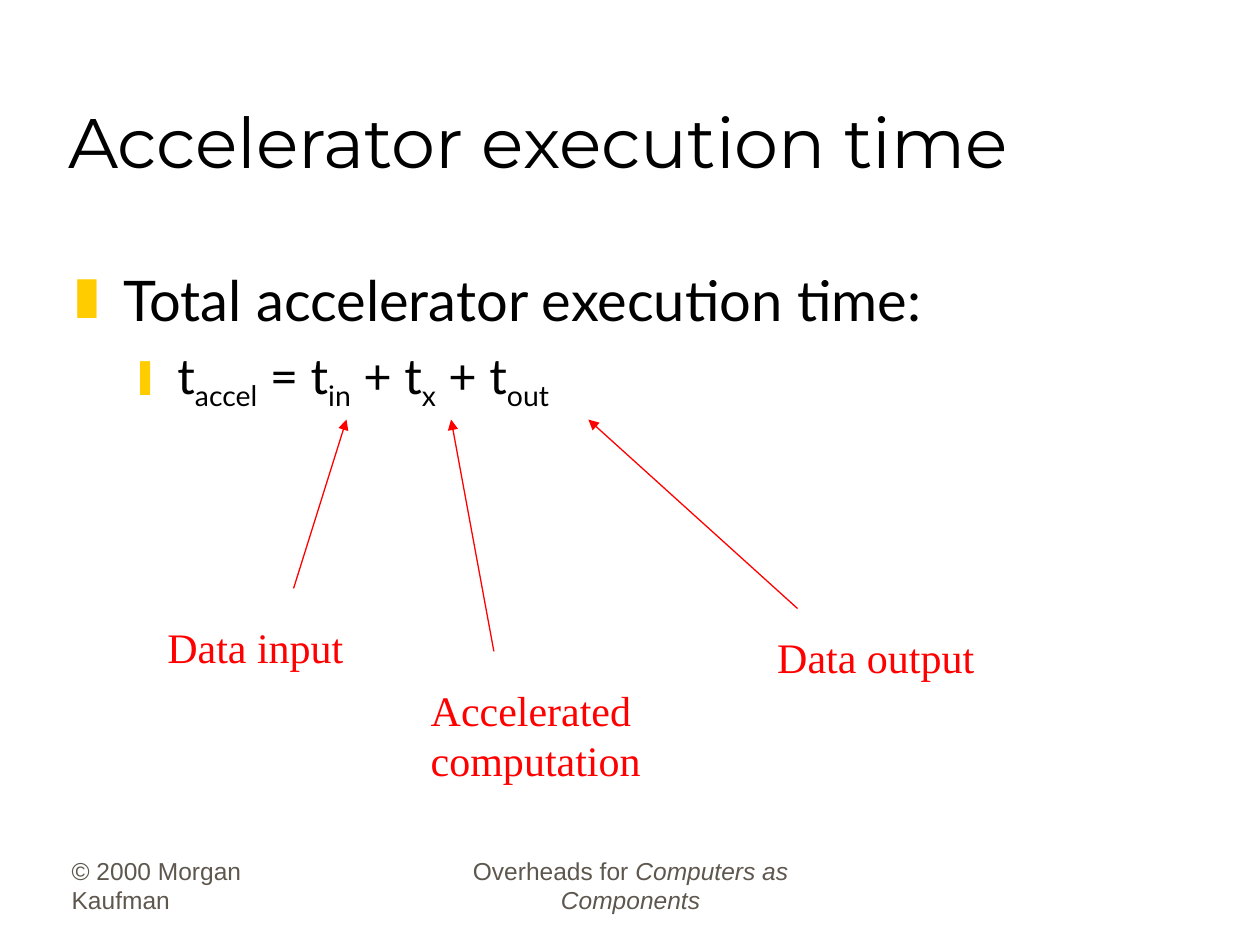
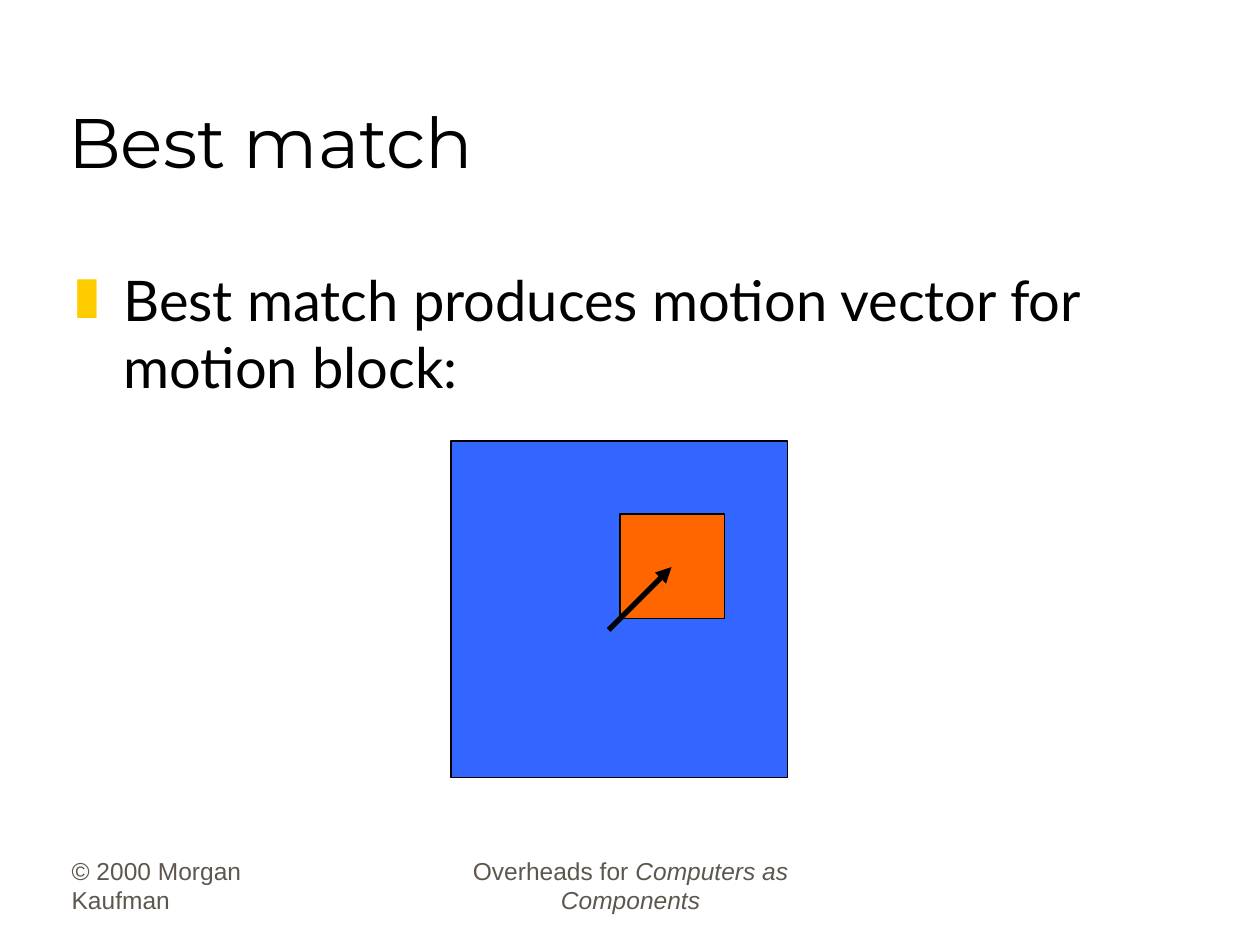
from lxml.etree import SubElement
from pptx import Presentation
from pptx.dml.color import RGBColor
from pptx.enum.shapes import MSO_CONNECTOR as Connector, MSO_SHAPE as Shape
from pptx.enum.text import MSO_ANCHOR as Anchor, MSO_AUTO_SIZE as AutoSize, PP_ALIGN as Align
from pptx.oxml.ns import qn
from pptx.util import Inches, Pt

# Shared style
BLACK, GREY, RED, YELLOW = "000000", "5E574E", "FF0000", "FFCC00"
BLUE, ORANGE = "3366FF", "FF6600"
SERIF = "Times New Roman"
TITLE_BOX = (0.44, 0.25, 8.5, 1.25)
TITLE_ONLY = 5

# Footers: box, alignment, runs as (text, italic)
FOOTERS = [
    ((0.47, 6.81, 2.08, 0.5), Align.LEFT, [("© 2000 Morgan Kaufman", False)]),
    ((3.42, 6.81, 3.17, 0.5), Align.CENTER,
     [("Overheads for ", False), ("Computers as Components", True)]),
]

# Bullet levels: character, text indent, hanging indent, size, space before
LEVELS = [("❚", 0.38, 0.38, 32, 8), ("❙", 0.81, 0.31, 28, 7)]

# Execution time: bullets as (level, runs), runs as (text, subscript)
TIME_TITLE = "Accelerator execution time"
TIME_BOX = (0.5, 2.06, 8.94, 4.56)
TIME_BULLETS = [
    (0, [("Total accelerator execution time:", False)]),
    (1, [("t", False), ("accel", True), (" = t", False), ("in", True),
         (" + t", False), ("x", True), (" + t", False), ("out", True)]),
]
# Labels: text, box, arrow start, arrow end
TIME_LABELS = [
    ("Data input", (1.23, 4.88, 1.65, 0.5), (2.33, 4.67), (2.75, 3.33)),
    ("Accelerated\ncomputation", (3.32, 5.38, 1.92, 0.9), (3.92, 5.17), (3.58, 3.33)),
    ("Data output", (6.07, 4.96, 1.82, 0.5), (6.33, 4.83), (4.67, 3.33)),
]

# Best match: search area, matched block and motion vector
MATCH_TITLE = "Best match"
MATCH_BOX = (0.5, 2.06, 8.94, 1.19)
MATCH_BULLETS = [(0, [("Best match produces motion vector for motion block:", False)])]
MATCH_SQUARES = [((3.58, 3.5, 2.67, 2.67), BLUE), ((4.92, 4.08, 0.83, 0.83), ORANGE)]
MOTION_VECTOR = ((4.83, 5), (5.33, 4.5))


def inches(values):
    return [Inches(value) for value in values]


def color(hex_string):
    return RGBColor.from_string(hex_string)


def style(run, name, size, hex_string):
    run.font.name = name
    run.font.size = Pt(size)
    run.font.color.rgb = color(hex_string)


def add_text_box(slide, box, wrap=True):
    text_frame = slide.shapes.add_textbox(*inches(box)).text_frame
    text_frame.word_wrap = wrap
    return text_frame


def add_run(paragraph, text):
    run = paragraph.add_run()
    run.text = text
    return run


def add_footers(slide):
    for box, alignment, parts in FOOTERS:
        text_frame = add_text_box(slide, box)
        text_frame.vertical_anchor = Anchor.BOTTOM
        paragraph = text_frame.paragraphs[0]
        paragraph.alignment = alignment
        for text, italic in parts:
            run = add_run(paragraph, text)
            style(run, "Arial", 14, GREY)
            run.font.italic = italic


def add_titled_slide(presentation, title_text):
    slide = presentation.slides.add_slide(presentation.slide_layouts[TITLE_ONLY])
    add_footers(slide)
    title = slide.shapes.title
    title.left, title.top, title.width, title.height = inches(TITLE_BOX)
    text_frame = title.text_frame
    text_frame.text = title_text
    text_frame.auto_size = AutoSize.NONE
    text_frame.vertical_anchor = Anchor.BOTTOM
    paragraph = text_frame.paragraphs[0]
    paragraph.alignment = Align.LEFT
    style(paragraph.runs[0], "Montserrat", 40, BLACK)
    return slide


def set_bullet(paragraph, character, indent, hanging):
    properties = paragraph._p.get_or_add_pPr()
    properties.set("marL", str(Inches(indent)))
    properties.set("indent", str(-Inches(hanging)))
    bullet_color = SubElement(properties, qn("a:buClr"))
    SubElement(bullet_color, qn("a:srgbClr"), val=YELLOW)
    SubElement(properties, qn("a:buFont"), typeface=SERIF)
    SubElement(properties, qn("a:buChar"), char=character)


def add_bullets(slide, box, bullets):
    text_frame = add_text_box(slide, box)
    for index, (level, parts) in enumerate(bullets):
        paragraph = text_frame.add_paragraph() if index else text_frame.paragraphs[0]
        character, indent, hanging, size, space_before = LEVELS[level]
        paragraph.level = level
        set_bullet(paragraph, character, indent, hanging)
        if index:
            paragraph.space_before = Pt(space_before)
        for text, subscript in parts:
            run = add_run(paragraph, text)
            style(run, "Lato", size, BLACK)
            if subscript:
                run.font._element.set("baseline", "-25000")


def add_arrow(slide, start, end, hex_string, width):
    arrow = slide.shapes.add_connector(Connector.STRAIGHT, *inches(start + end))
    arrow.line.color.rgb = color(hex_string)
    arrow.line.width = Pt(width)
    SubElement(arrow.line._get_or_add_ln(), qn("a:tailEnd"), type="triangle")
    SubElement(arrow._element.spPr, qn("a:effectLst"))


def add_label(slide, text, box):
    text_frame = add_text_box(slide, box)
    text_frame.text = text
    for paragraph in text_frame.paragraphs:
        style(paragraph.runs[0], SERIF, 24, RED)


def add_square(slide, box, fill):
    square = slide.shapes.add_shape(Shape.RECTANGLE, *inches(box))
    square.shadow.inherit = False
    square.fill.solid()
    square.fill.fore_color.rgb = color(fill)
    square.line.color.rgb = color(BLACK)
    square.line.width = Pt(0.75)


def build_time_slide(presentation):
    slide = add_titled_slide(presentation, TIME_TITLE)
    add_bullets(slide, TIME_BOX, TIME_BULLETS)
    for text, box, start, end in TIME_LABELS:
        add_arrow(slide, start, end, RED, 0.75)
        add_label(slide, text, box)


def build_match_slide(presentation):
    slide = add_titled_slide(presentation, MATCH_TITLE)
    add_bullets(slide, MATCH_BOX, MATCH_BULLETS)
    for box, fill in MATCH_SQUARES:
        add_square(slide, box, fill)
    add_arrow(slide, *MOTION_VECTOR, BLACK, 3)


def main():
    presentation = Presentation()
    presentation.slide_width, presentation.slide_height = inches((10, 7.5))
    build_time_slide(presentation)
    build_match_slide(presentation)
    presentation.save("out.pptx")


if __name__ == "__main__":
    main()
